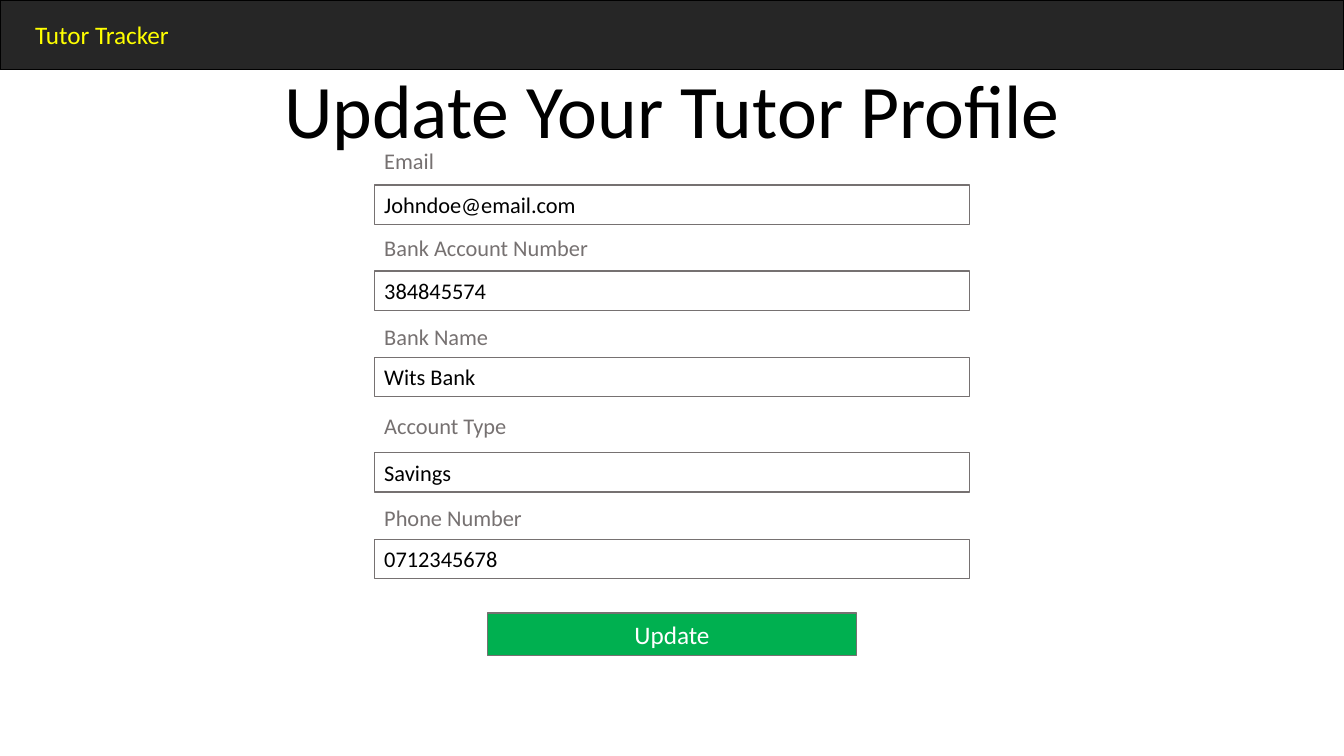
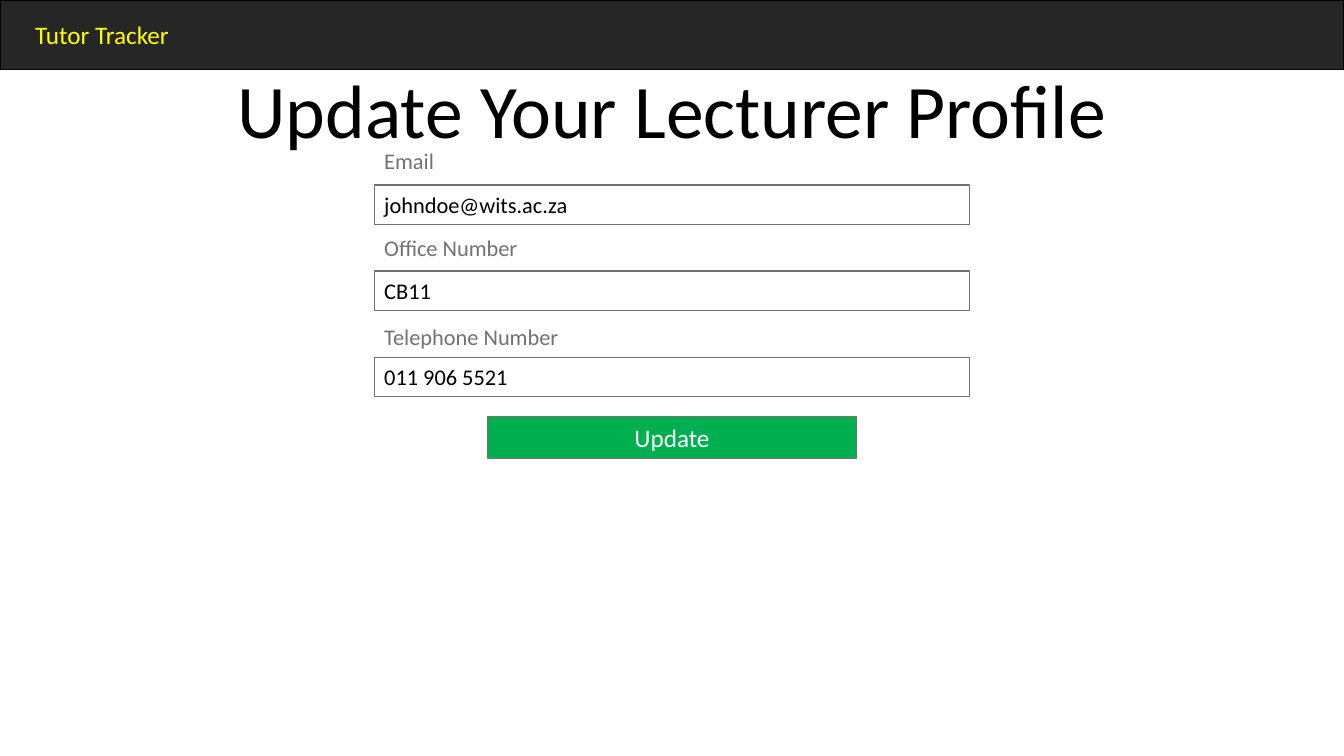
from pptx import Presentation
from pptx.dml.color import RGBColor
from pptx.enum.shapes import MSO_SHAPE
from pptx.enum.text import MSO_ANCHOR, MSO_AUTO_SIZE, PP_ALIGN
from pptx.util import Inches, Pt

RECTANGLE = MSO_SHAPE.RECTANGLE
MIDDLE, TOP = MSO_ANCHOR.MIDDLE, MSO_ANCHOR.TOP
LEFT, CENTER = PP_ALIGN.LEFT, PP_ALIGN.CENTER
NO_AUTOFIT = MSO_AUTO_SIZE.NONE

WHITE = RGBColor(0xFF, 0xFF, 0xFF)
BLACK = RGBColor(0x00, 0x00, 0x00)
CHARCOAL = RGBColor(0x26, 0x26, 0x26)
GRAY = RGBColor(0x76, 0x71, 0x71)
YELLOW = RGBColor(0xFF, 0xFF, 0x00)
GREEN = RGBColor(0x00, 0xB0, 0x50)

FONT = "Calibri"
APP_NAME = "Tutor Tracker"

# Lengths are percentages of the slide's width or height.
BAND_HEIGHT = 9.2
TITLE_MIDDLE = 14.33
FIELD_WIDTH = 44.3
LABEL_HEIGHT, INPUT_HEIGHT = 4.5, 5.2
BUTTON_WIDTH, BUTTON_HEIGHT = 27.5, 5.6
# Middle of the label and of the input in each form row.
FORM_ROWS = [(21.27, 27.07), (32.8, 38.47), (44.47, 49.87),
             (56.33, 62.47), (68.4, 73.93)]

FORMS = [
    ("Update Your Tutor Profile", 83.87, [
        ("Email", "Johndoe@email.com"),
        ("Bank Account Number", "384845574"),
        ("Bank Name", "Wits Bank"),
        ("Account Type", "Savings"),
        ("Phone Number", "0712345678"),
    ]),
    ("Update Your Lecturer Profile", 57.87, [
        ("Email", "johndoe@wits.ac.za"),
        ("Office Number", "CB11"),
        ("Telephone Number", "011 906 5521"),
    ]),
]


class FormDeck:
    def __init__(self):
        self.deck = Presentation()
        self.deck.slide_width = Inches(13.33)
        self.deck.slide_height = Inches(7.5)
        self.page = None

    def area(self, left, top, width, height):
        """Turn percentages of the slide into lengths."""
        across, down = self.deck.slide_width, self.deck.slide_height
        return (int(across * left / 100), int(down * top / 100),
                int(across * width / 100), int(down * height / 100))

    def centered(self, middle, width, height):
        return self.area((100 - width) / 2, middle - height / 2, width, height)

    def add_text(self, box, text, size, color, align=LEFT, anchor=MIDDLE):
        frame = box.text_frame
        frame.word_wrap = True
        frame.auto_size = NO_AUTOFIT
        frame.vertical_anchor = anchor
        para = frame.paragraphs[0]
        para.alignment = align
        span = para.add_run()
        span.text = text
        span.font.name = FONT
        span.font.size = Pt(size)
        span.font.color.rgb = color

    def rectangle(self, area, fill, line):
        box = self.page.shapes.add_shape(RECTANGLE, *area)
        box.shadow.inherit = False
        box.fill.solid()
        box.fill.fore_color.rgb = fill
        box.line.color.rgb = line
        box.line.width = Pt(1)
        return box

    def start_page(self, title):
        self.page = self.deck.slides.add_slide(self.deck.slide_layouts[5])
        self.title(title)
        self.band()

    def title(self, text):
        box = self.page.shapes.title
        box.left, box.top, box.width, box.height = self.centered(
            TITLE_MIDDLE, 100, BAND_HEIGHT)
        self.add_text(box, text, 54, BLACK, CENTER)

    def band(self):
        self.rectangle(self.area(0, 0, 100, BAND_HEIGHT), CHARCOAL, BLACK)
        box = self.page.shapes.add_textbox(*self.area(1.88, 1.87, 12.6, 5.33))
        self.add_text(box, APP_NAME, 18, YELLOW, anchor=TOP)

    def field(self, label, value, label_middle, input_middle):
        label_area = self.centered(label_middle, FIELD_WIDTH, LABEL_HEIGHT)
        self.add_text(self.rectangle(label_area, WHITE, WHITE), label, 16, GRAY)
        input_area = self.centered(input_middle, FIELD_WIDTH, INPUT_HEIGHT)
        self.add_text(self.rectangle(input_area, WHITE, GRAY), value, 16, BLACK)

    def button(self, text, middle):
        area = self.centered(middle, BUTTON_WIDTH, BUTTON_HEIGHT)
        self.add_text(self.rectangle(area, GREEN, GRAY), text, 18, WHITE, CENTER)


def main():
    forms = FormDeck()
    for title, button_middle, fields in FORMS:
        forms.start_page(title)
        for (label, value), middles in zip(fields, FORM_ROWS):
            forms.field(label, value, *middles)
        forms.button("Update", button_middle)
    forms.deck.save("out.pptx")


if __name__ == "__main__":
    main()
